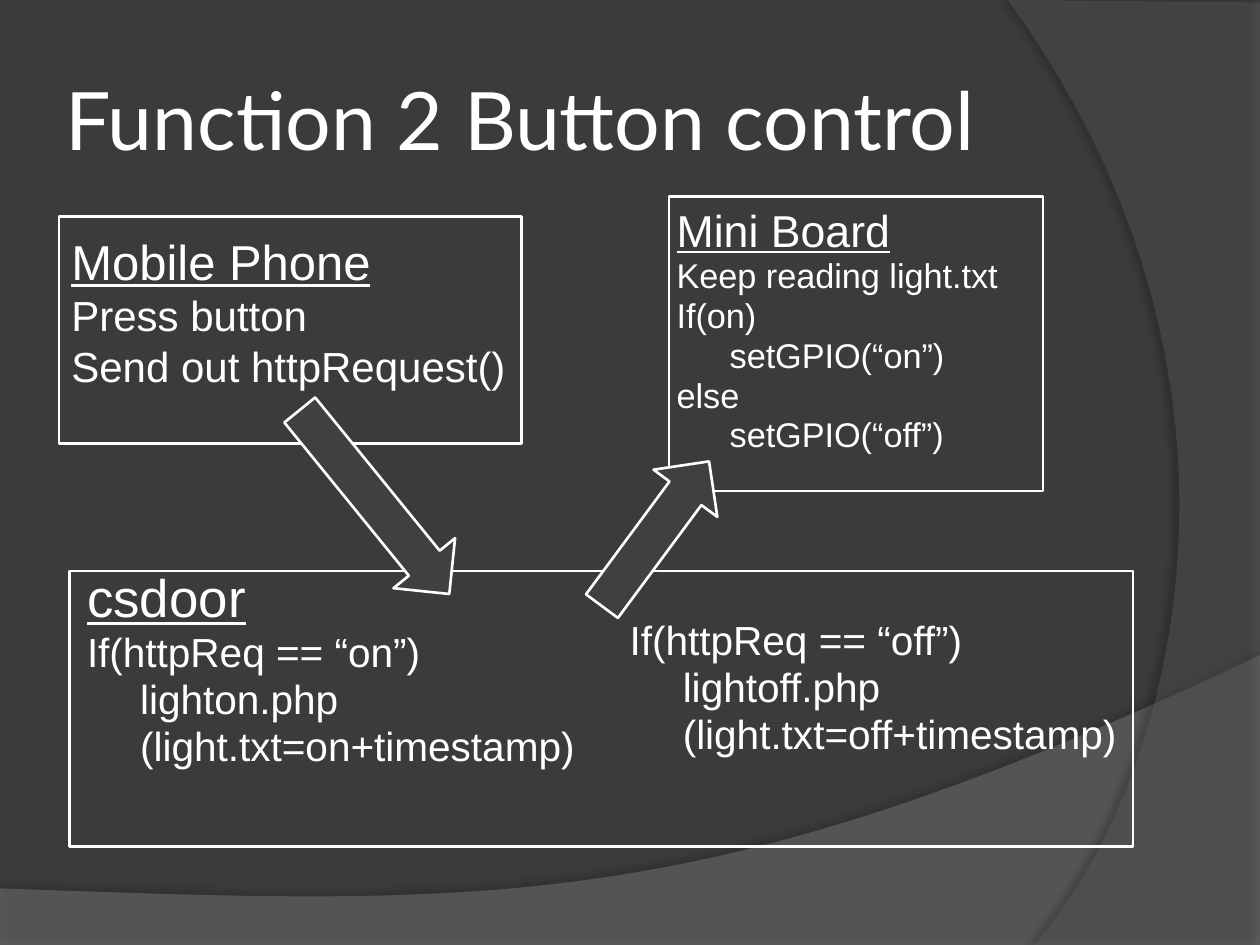
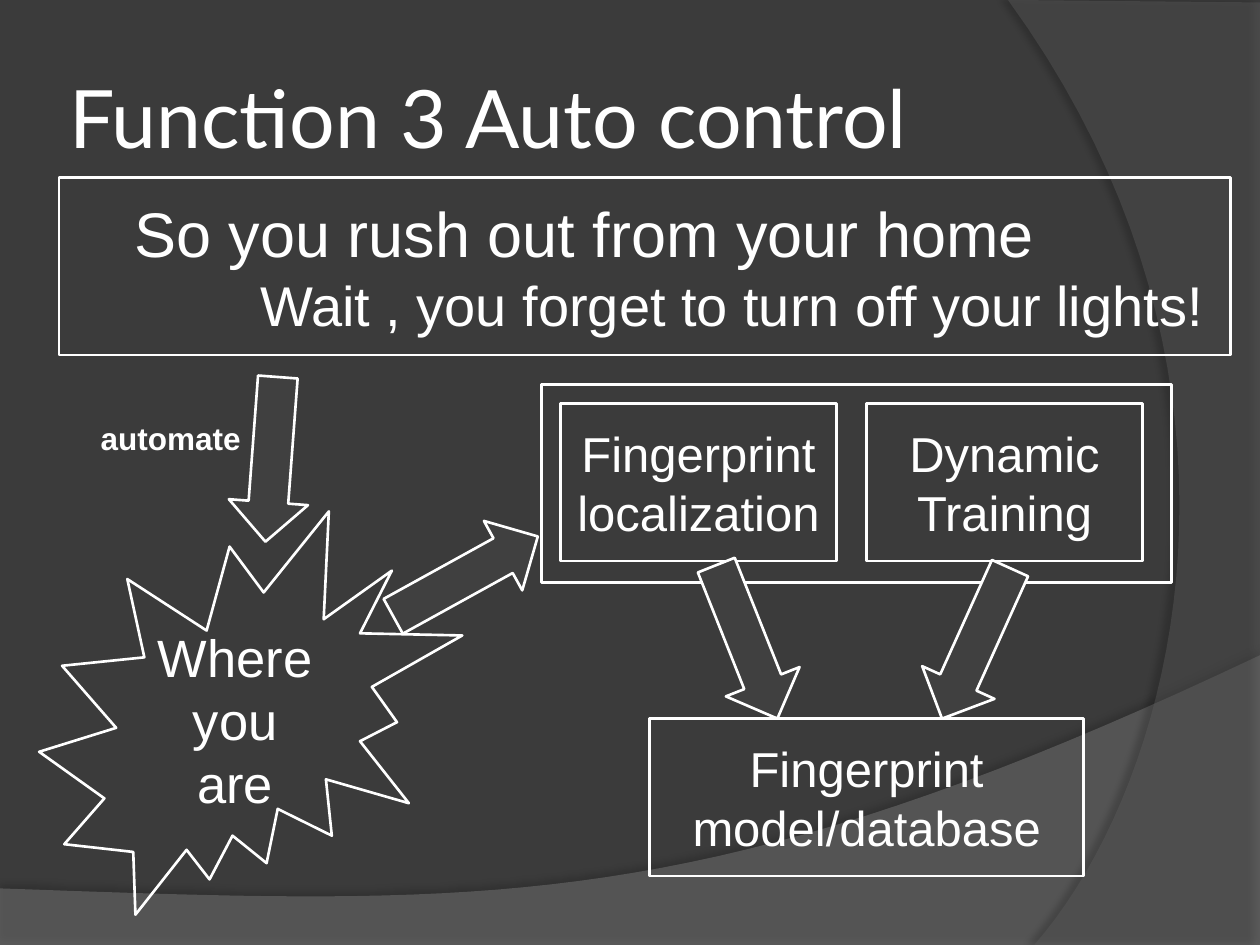
from dataclasses import dataclass

from lxml.etree import SubElement
from pptx import Presentation
from pptx.dml.color import RGBColor as Rgb
from pptx.enum.shapes import MSO_SHAPE as Kind
from pptx.enum.text import MSO_ANCHOR as Anchor, MSO_AUTO_SIZE as Fit, PP_ALIGN as Align
from pptx.oxml.ns import qn
from pptx.util import Cm, Pt


@dataclass(frozen=True)
class Theme:
    back: str = "3B3B3B"
    ink: str = "FFFFFF"
    arrow: str = "404040"
    head: str = "Lato"
    body: str = "Arial"
    title: float = 46
    big: float = 36
    quote: float = 32
    door: float = 30.2
    star: float = 30
    box: float = 28
    board: float = 25.5
    step: float = 24
    code: float = 23.2
    small: float = 19.6
    label: float = 18
    line: float = 1.5


T = Theme()
WIDE, HIGH = 25.4, 19.05

# Bands: straight corners, then a curve from the last corner (two handles, end);
# fill, opacity, shadow opacity, shadow blur and distance (pt), shadow angle
BANDS = [
    ([(0, 17.91), (0, HIGH), (WIDE, HIGH), (WIDE, 13.21)],
     [(14.2, 18.52), (9.93, 18.26), (0, 17.91)], "7F7F7F", 45, 35, 4, 3.5, 270),
    ([(WIDE, 0.05), (WIDE, HIGH), (20.85, HIGH)],
     [(23.75, 15.72), (25.86, 7.62), (20.32, 0)], "5E5E5E", 40, 45, 4, 4, 180),
]

# Text lines: text, size, indent (cm), underlined
NEAR, FAR = 0.1, 1.17
PHONE = [("Mobile Phone", T.box, 0, True),
         ("Press button", T.step, 0, False),
         ("Send out httpRequest()", T.step, 0, False)]
BOARD = [("Mini Board", T.board, NEAR, True),
         ("Keep reading light.txt", T.small, NEAR, False),
         ("If(on)", T.small, NEAR, False),
         ("setGPIO(“on”)", T.small, FAR, False),
         ("else", T.small, NEAR, False),
         ("setGPIO(“off”)", T.small, FAR, False)]
DOOR_ON = [("csdoor", T.door, NEAR, True),
           ("If(httpReq == “on”)", T.code, NEAR, False),
           ("lighton.php", T.code, FAR, False),
           ("(light.txt=on+timestamp)", T.code, FAR, False)]
DOOR_OFF = [("If(httpReq == “off”)", T.code, NEAR, False),
            ("lightoff.php", T.code, FAR, False),
            ("(light.txt=off+timestamp)", T.code, FAR, False)]
QUOTE = [("So you rush out from your home", T.big, 1.27, False),
         ("Wait , you forget to turn off your lights!", T.quote, 3.81, False)]
STAR = [("Where you are", T.star, 0, False)]
STAGES = ["Fingerprint localization", "Dynamic Training"]
MODEL = "Fingerprint model/database"

# Arrows: left, top, length, turn
SENDS = [(5.16, 9.32, 4.78, 50.9), (11.4, 9.96, 3.63, 306.5)]
FLOWS = [(3.81, 8.46, 3.33, 94.3), (7.72, 10.82, 3.33, 331.1),
         (13.39, 12.14, 3.33, 68.3), (18.01, 12.17, 3.33, 114.3)]


def rgb(code):
    return Rgb.from_string(code)


def place(item, left, top, wide, high):
    item.left, item.top, item.width, item.height = map(Cm, (left, top, wide, high))


def style(para, size, name=T.body):
    font = para.font
    font.name, font.size = name, Pt(size)
    font.color.rgb = rgb(T.ink)
    return font


def write(frame, lines, align=Align.LEFT, tight=False):
    """Fill a frame with lines; tight ones sit close, with a gap above each."""
    frame.word_wrap = True
    frame.auto_size = Fit.NONE
    for i, (text, size, indent, under) in enumerate(lines):
        para = frame.add_paragraph() if i else frame.paragraphs[0]
        para.text = text
        para.alignment = align
        if tight:
            para.line_spacing = 0.8
            para.space_before = Pt(round(size * 0.2, 1))
        props = para._p.get_or_add_pPr()
        props.set("marL", str(Cm(indent)))
        props.set("indent", "0")
        SubElement(props, qn("a:buNone"))
        style(para, size).underline = under


def outline(deck, kind, spot, lines=(), align=Align.CENTER, tight=False):
    shape = deck.shapes.add_shape(kind, *map(Cm, spot))
    shape.shadow.inherit = False
    shape.fill.background()
    shape.line.color.rgb = rgb(T.ink)
    shape.line.width = Pt(T.line)
    shape.text_frame.vertical_anchor = Anchor.MIDDLE
    if lines:
        write(shape.text_frame, lines, align, tight)
    return shape


def arrows(slide, rows):
    for left, top, size, turn in rows:
        shape = outline(slide, Kind.RIGHT_ARROW, (left, top, size, 1.6))
        shape.fill.solid()
        shape.fill.fore_color.rgb = rgb(T.arrow)
        shape.rotation = turn


def curve(start, ends, steps=40):
    """Points along a cubic curve after its start."""
    pts = [start, *ends]
    for n in range(1, steps + 1):
        t = n / steps
        parts = ((1 - t) ** 3, 3 * t * (1 - t) ** 2, 3 * t * t * (1 - t), t ** 3)
        yield tuple(sum(k * p[axis] for k, p in zip(parts, pts)) for axis in (0, 1))


def alpha(color, share):
    SubElement(color, qn("a:alpha"), val=str(share * 1000))


def dress(prs, slide):
    """Give the master its background and bands, drawn by way of a slide."""
    master = prs.slide_master
    master.background.fill.solid()
    master.background.fill.fore_color.rgb = rgb(T.back)
    for i, (corners, ends, fill, clear, shade, blur, dist, angle) in enumerate(BANDS):
        pts = [(Cm(x), Cm(y)) for x, y in [*corners, *curve(corners[-1], ends)]]
        pen = slide.shapes.build_freeform(*pts[0])
        pen.add_line_segments(pts[1:], close=True)
        band = pen.convert_to_shape()
        band.line.fill.background()
        band.fill.solid()
        band.fill.fore_color.rgb = rgb(fill)
        band.shadow.inherit = False
        props = band._element.spPr
        alpha(props.find(".//" + qn("a:solidFill"))[0], clear)
        cast = SubElement(props.find(qn("a:effectLst")), qn("a:outerShdw"),
                          blurRad=str(Pt(blur)), dist=str(Pt(dist)),
                          dir=str(angle * 60000), rotWithShape="0")
        alpha(SubElement(cast, qn("a:srgbClr"), val="000000"), shade)
        master.shapes._spTree.insert(2 + i, band._element)


def start(prs, layout, title, left, top):
    slide = prs.slides.add_slide(prs.slide_layouts[layout])
    head = slide.shapes.title
    place(head, left, top, 20.75, 3.18)
    frame = head.text_frame
    frame.text = title
    frame.auto_size = Fit.NONE
    frame.vertical_anchor = Anchor.MIDDLE
    frame.margin_left = frame.margin_right = Cm(0.13)
    para = frame.paragraphs[0]
    para.alignment = Align.LEFT
    style(para, T.title, T.head)
    return slide


def button(prs):
    slide = start(prs, 3, "Function 2 Button control", 1.19, 0.79)
    left, top = 1.4, 11.51
    spots = [(left, top, 10.8, 5.5), (12.34, top + 0.94, 11.5, 4.5)]
    for idx, (lines, spot) in enumerate(zip((DOOR_ON, DOOR_OFF), spots), 1):
        body = slide.placeholders[idx]
        place(body, *spot)
        write(body.text_frame, lines, tight=True)
    phone = outline(slide, Kind.RECTANGLE, (1.19, 4.37, 9.32, 4.57), PHONE, Align.LEFT)
    phone.text_frame.margin_bottom = Cm(0.9)  # keeps the text clear of the arrow
    board = outline(slide, Kind.RECTANGLE, (13.49, 3.96, 7.54, 5.94), BOARD, Align.LEFT, True)
    frame = board.text_frame
    frame.vertical_anchor = Anchor.TOP
    frame.margin_left, frame.margin_top = Cm(0.05), Cm(0.33)
    outline(slide, Kind.RECTANGLE, (left, top, 21.44, 5.56))
    arrows(slide, SENDS)
    return slide


def auto(prs):
    slide = start(prs, 5, "Function 3 Auto control", 1.27, 0.76)
    outline(slide, Kind.RECTANGLE, (1.19, 3.58, 23.62, 3.58), QUOTE, Align.LEFT)
    outline(slide, Kind.EXPLOSION2, (0.79, 10.31, 8.53, 8.13), STAR)
    label = slide.shapes.add_textbox(*map(Cm, (1.78, 8.33, 3.35, 1.02)))
    label.text_frame.text = "automate"
    style(label.text_frame.paragraphs[0], T.label).bold = True
    outline(slide, Kind.RECTANGLE, (10.92, 7.75, 12.7, 3.99))
    boxes = [(text, 11.3 + i * 6.17, 8.13, 5.56) for i, text in enumerate(STAGES)]
    for text, left, top, wide in [*boxes, (MODEL, 13.1, 14.48, 8.74)]:
        outline(slide, Kind.RECTANGLE, (left, top, wide, 3.18), [(text, T.box, 0, False)])
    arrows(slide, FLOWS)


def main():
    prs = Presentation()
    prs.slide_width, prs.slide_height = Cm(WIDE), Cm(HIGH)
    dress(prs, button(prs))
    auto(prs)
    prs.save("out.pptx")


if __name__ == "__main__":
    main()
